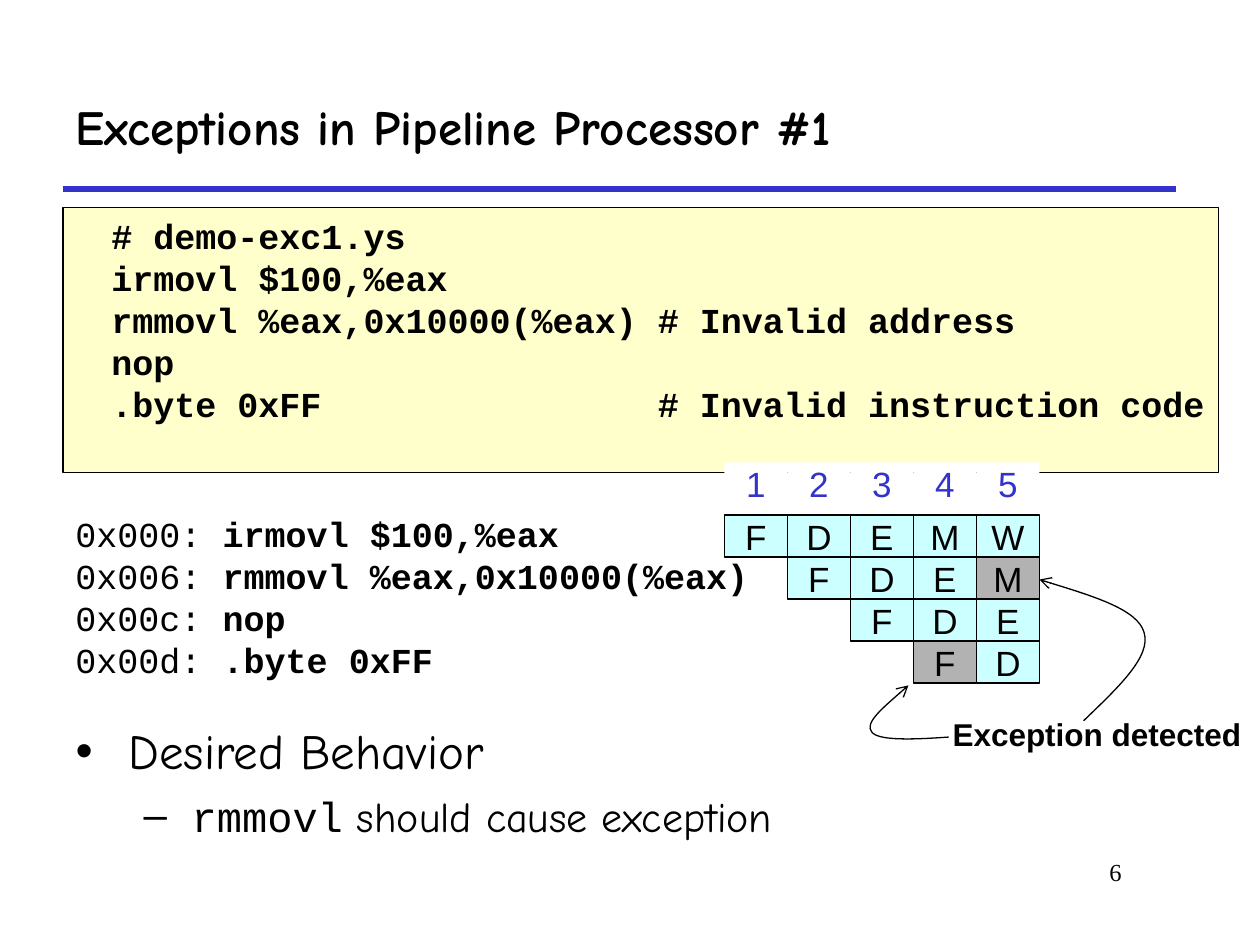
import pptx
import pptx.dml.color
import pptx.enum.dml
import pptx.enum.shapes
import pptx.enum.text
import pptx.oxml
import pptx.oxml.ns
import pptx.util
from lxml import etree

Inches = pptx.util.Inches
Pt = pptx.util.Pt
RGBColor = pptx.dml.color.RGBColor
ALIGN = pptx.enum.text.PP_ALIGN
ANCHOR = pptx.enum.text.MSO_ANCHOR
AUTO_SIZE = pptx.enum.text.MSO_AUTO_SIZE
qn = pptx.oxml.ns.qn

BLACK = RGBColor(0x00, 0x00, 0x00)
WHITE = RGBColor(0xFF, 0xFF, 0xFF)
BLUE = RGBColor(0x33, 0x33, 0xCC)
YELLOW = RGBColor(0xFF, 0xFF, 0xCC)
CYAN = RGBColor(0xCC, 0xFF, 0xFF)
GRAY = RGBColor(0xB2, 0xB2, 0xB2)

HEADING, CODE, LABEL = "Comic Neue", "Courier New", "Arial"
LEFT = 0.5
GRID_LEFT, GRID_TOP = 5.75, 4.09
CELL_WIDTH, ROW_STEP, CELL_HEIGHT = 0.5, 1 / 3, 0.33
CYCLES = 5

PROGRAM = [
    "  # demo-exc1.ys",
    "  irmovl $100,%eax",
    "  rmmovl %eax,0x10000(%eax) # Invalid address",
    "  nop",
    "  .byte 0xFF                # Invalid instruction code",
]
# Address, instruction, stages up to cycle 5, stage that raises an exception
PIPELINE = [
    ("0x000: ", "irmovl $100,%eax", "FDEMW", None),
    ("0x006: ", "rmmovl %eax,0x10000(%eax)", "FDEM", "M"),
    ("0x00c: ", "nop", "FDE", None),
    ("0x00d: ", ".byte 0xFF", "FD", "F"),
]


def place(shape, left, top, width, height):
    shape.left, shape.top = Inches(left), Inches(top)
    shape.width, shape.height = Inches(width), Inches(height)


def add_run(paragraph, text, font, size, color=BLACK, bold=False):
    run = paragraph.add_run()
    run.text = text
    run.font.name = font
    run.font.size = Pt(size)
    run.font.color.rgb = color
    run.font.bold = bold


def set_margins(frame, margin):
    frame.margin_left = frame.margin_right = Inches(margin)
    frame.margin_top = frame.margin_bottom = Inches(margin)


def add_box(slide, left, top, width, height, fill, line_width=None):
    """Add a flat rectangle and return its text frame."""
    box = slide.shapes.add_shape(
        pptx.enum.shapes.MSO_SHAPE.RECTANGLE,
        Inches(left), Inches(top), Inches(width), Inches(height))
    box.shadow.inherit = False
    box.fill.solid()
    box.fill.fore_color.rgb = fill
    if line_width:
        box.line.color.rgb = BLACK
        box.line.width = Pt(line_width)
    else:
        box.line.fill.background()
    frame = box.text_frame
    frame.word_wrap = False
    frame.vertical_anchor = ANCHOR.MIDDLE
    return frame


def add_cell(slide, column, top, text, fill, color=BLACK, line_width=None):
    frame = add_box(slide, GRID_LEFT + column * CELL_WIDTH, top,
                    CELL_WIDTH, CELL_HEIGHT, fill, line_width)
    paragraph = frame.paragraphs[0]
    paragraph.alignment = ALIGN.CENTER
    add_run(paragraph, text, LABEL, 20, color)


def add_title(slide):
    title = slide.shapes.title
    place(title, LEFT, 0.5, 8.83, 1)
    frame = title.text_frame
    frame.auto_size = AUTO_SIZE.NONE
    frame.vertical_anchor = ANCHOR.MIDDLE
    paragraph = frame.paragraphs[0]
    paragraph.alignment = ALIGN.LEFT
    add_run(paragraph, "Exceptions in Pipeline Processor #1", HEADING, 28, bold=True)

    rule = slide.shapes.add_connector(
        pptx.enum.shapes.MSO_CONNECTOR.STRAIGHT,
        Inches(LEFT), Inches(1.5), Inches(9.33), Inches(1.5))
    rule.line.color.rgb = BLUE
    rule.line.width = Pt(3)
    etree.SubElement(rule._element.spPr, qn("a:effectLst"))


def add_bullet(paragraph, level, character, margin, indent, space_before):
    paragraph.level = level
    paragraph.alignment = ALIGN.LEFT
    paragraph.space_before = Pt(space_before)
    properties = paragraph._p.get_or_add_pPr()
    properties.set("marL", str(Inches(margin)))
    properties.set("indent", str(Inches(indent)))
    bullet = etree.SubElement(properties, qn("a:buChar"))
    bullet.set("char", character)


def add_body(slide):
    body = slide.placeholders[1]
    place(body, LEFT, 5.67, 9.08, 1.09)
    frame = body.text_frame
    frame.auto_size = AUTO_SIZE.NONE
    topic = frame.paragraphs[0]
    add_bullet(topic, 0, "•", 0.42, -0.42, 0)
    add_run(topic, "Desired Behavior", HEADING, 28)
    detail = frame.add_paragraph()
    add_bullet(detail, 1, "–", 0.81, -0.27, 6)
    add_run(detail, " ", HEADING, 24)
    add_run(detail, "rmmovl", CODE, 24)
    add_run(detail, " should cause exception", HEADING, 24)


def add_program(slide):
    frame = add_box(slide, LEFT, 1.65, 9.17, 2.1, YELLOW, 0.75)
    frame.word_wrap = True
    frame.vertical_anchor = ANCHOR.TOP
    set_margins(frame, 0.05)
    for index, line in enumerate(PROGRAM):
        paragraph = frame.add_paragraph() if index else frame.paragraphs[0]
        paragraph.alignment = ALIGN.LEFT
        add_run(paragraph, line, CODE, 20, bold=True)


def add_pipeline(slide):
    # Instruction listing
    for row, (address, instruction, _, _) in enumerate(PIPELINE):
        width = 5.33 if len(instruction) > 20 else 2.84
        frame = add_box(slide, LEFT, 4.07 + row * ROW_STEP, width, CELL_HEIGHT, WHITE)
        paragraph = frame.paragraphs[0]
        paragraph.alignment = ALIGN.LEFT
        add_run(paragraph, address, CODE, 20)
        add_run(paragraph, instruction, CODE, 20, bold=True)
    # Cycle numbers
    for cycle in range(CYCLES):
        add_cell(slide, cycle, 3.67, str(cycle + 1), WHITE, BLUE)
    # Stages, each instruction one cycle after the one before
    for row, (_, _, stages, failing) in enumerate(PIPELINE):
        for step, stage in enumerate(stages):
            fill = GRAY if stage == failing else CYAN
            add_cell(slide, row + step, GRID_TOP + row * ROW_STEP, stage, fill, line_width=1)


def add_text_box(slide, left, top, width, height):
    frame = slide.shapes.add_textbox(
        Inches(left), Inches(top), Inches(width), Inches(height)).text_frame
    frame.word_wrap = True
    return frame


def add_curved_arrow(slide, points):
    """Draw cubic curves: a start point, then two controls and an end for each."""
    start, *others = [(Inches(x), Inches(y)) for x, y in points]
    builder = slide.shapes.build_freeform(*start)
    builder.add_line_segments(others, close=False)
    arrow = builder.convert_to_shape()
    arrow.shadow.inherit = False
    arrow.fill.background()
    arrow.line.color.rgb = BLACK
    arrow.line.width = Pt(0.75)
    segments = list(arrow._element.iter(qn("a:lnTo")))
    for first in range(0, len(segments), 3):
        curve = etree.SubElement(segments[first].getparent(), qn("a:cubicBezTo"))
        for segment in segments[first:first + 3]:
            curve.append(segment[0])
            segment.getparent().remove(segment)
    tail = etree.SubElement(arrow.line._get_or_add_ln(), qn("a:tailEnd"))
    tail.set("type", "arrow")


def add_exception_note(slide):
    frame = add_text_box(slide, 7.51, 5.66, 2.45, 0.37)
    set_margins(frame, 0.05)
    paragraph = frame.paragraphs[0]
    paragraph.line_spacing = 0.9
    add_run(paragraph, "Exception detected", LABEL, 18, bold=True)
    # One arrow to the failing memory stage, one to the failing fetch
    add_curved_arrow(slide, [(8.6, 5.72), (8.87, 5.46), (9.14, 5.21), (9.08, 5.02),
                             (9.03, 4.84), (8.64, 4.72), (8.25, 4.6)])
    add_curved_arrow(slide, [(7.53, 5.85), (7.25, 5.87), (6.97, 5.88), (6.92, 5.81),
                             (6.86, 5.74), (7.04, 5.59), (7.21, 5.44)])


def add_page_number(slide):
    paragraph = add_text_box(slide, 7.58, 6.75, 1.42, 0.5).paragraphs[0]
    paragraph.alignment = ALIGN.RIGHT
    add_run(paragraph, "6", "Times New Roman", 14)


def main():
    presentation = pptx.Presentation()
    presentation.slide_width, presentation.slide_height = Inches(10), Inches(7.5)
    slide = presentation.slides.add_slide(presentation.slide_layouts[1])
    add_title(slide)
    add_page_number(slide)
    add_body(slide)
    add_program(slide)
    add_pipeline(slide)
    add_exception_note(slide)
    presentation.save("out.pptx")


if __name__ == "__main__":
    main()
